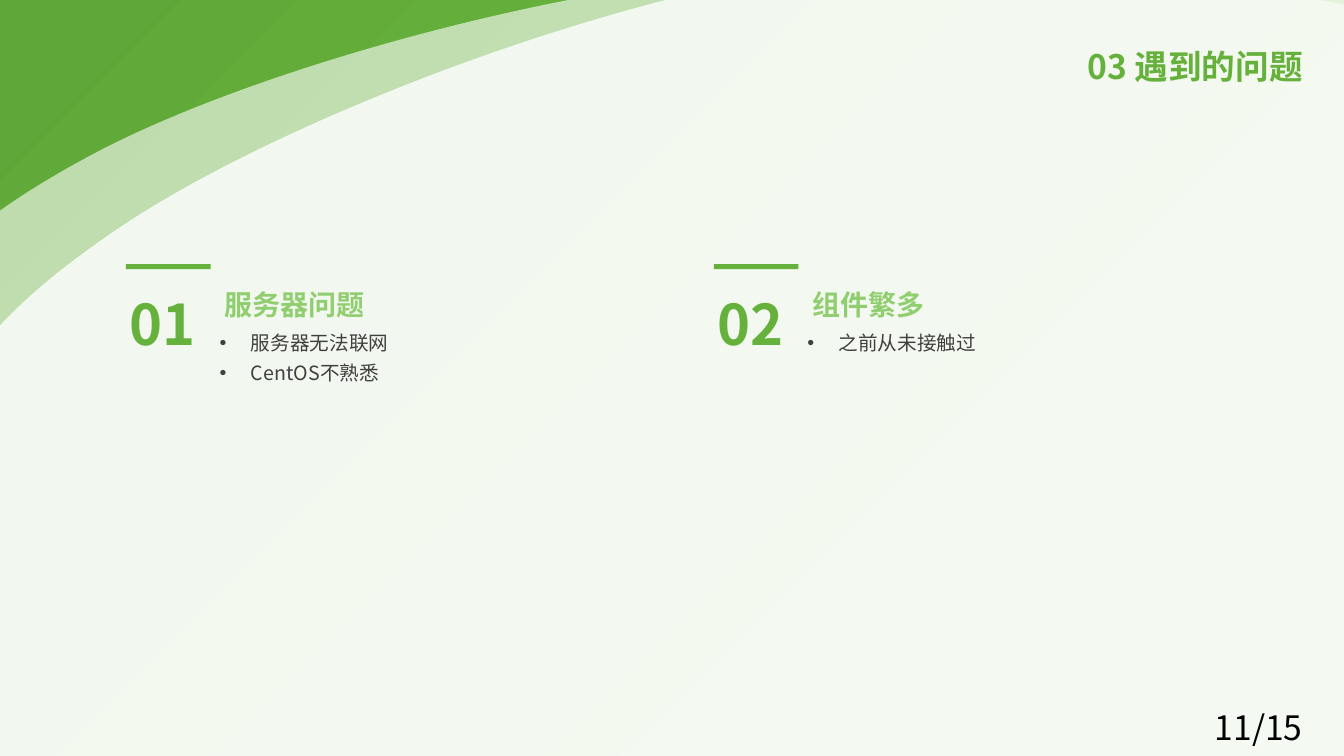
from dataclasses import dataclass

from lxml import etree
from pptx import Presentation
from pptx.dml.color import RGBColor
from pptx.enum.shapes import MSO_SHAPE
from pptx.enum.text import MSO_ANCHOR, MSO_AUTO_SIZE, PP_ALIGN
from pptx.oxml.ns import qn
from pptx.util import Inches, Pt

RECT = MSO_SHAPE.RECTANGLE
MIDDLE, TOP = MSO_ANCHOR.MIDDLE, MSO_ANCHOR.TOP
NO_FIT, GROW = MSO_AUTO_SIZE.NONE, MSO_AUTO_SIZE.SHAPE_TO_FIT_TEXT
RIGHT = PP_ALIGN.RIGHT


@dataclass(frozen=True)
class Theme:
    font: str = "Noto Sans CJK SC"
    green: str = "66B13C"
    light_green: str = "91CE6F"
    body: str = "404040"
    black: str = "000000"
    white: str = "FFFFFF"
    gradient: tuple = ((0, "7DC555"), (23, "7DC555"), (69, "66B13C"), (97, "5FA638"))
    title_size: int = 24
    number_size: int = 40
    heading_size: int = 20
    body_size: int = 14


THEME = Theme()
SLIDE_W, SLIDE_H = 13.33, 7.5

# Bezier outline of a wave, in inches from the top left of its box.
WAVE_W, WAVE_H = 20.44, 9.93
WAVE_START = (0.58, 4.23)
WAVE_CURVES = (
    ((0.91, 3.31), (1.32, 2.68), (2.89, 1.85)),
    ((4.45, 1.03), (7.57, 0.14), (10.06, 0.02)),
    ((12.56, -0.1), (16.29, 0.33), (17.85, 1.16)),
    ((19.42, 1.98), (21.2, 4.5), (20.11, 5.8)),
    ((19.01, 7.11), (13.26, 9.65), (10.06, 9.91)),
    ((6.86, 10.17), (2.45, 8.19), (0.89, 7.36)),
    ((-0.68, 6.54), (0.25, 5.15), WAVE_START),
)
# left, top, rotation, opacity
WAVES = ((-1.93, -0.34, 0, 60), (-1.38, -0.39, 354.1, 80))

PROBLEMS = (
    (1.25, "01", "服务器问题", 1.6, ("服务器无法联网", "CentOS不熟悉")),
    (7.08, "02", "组件繁多", 1.32, ("之前从未接触过",)),
)


def fill_solid(sp, color):
    sp.fill.solid()
    sp.fill.fore_color.rgb = RGBColor.from_string(color)
    sp.line.fill.background()
    sp.shadow.inherit = False


def add_bar(slide, x, y, w, h, color):
    sp = slide.shapes.add_shape(RECT, Inches(x), Inches(y), Inches(w), Inches(h))
    fill_solid(sp, color)
    return sp


def add_run(p, text, size, color, bold=False):
    r = p.add_run()
    r.text = text
    r.font.size = Pt(size)
    r.font.bold = bold
    r.font.color.rgb = RGBColor.from_string(color)
    r.font.name = THEME.font
    latin = r.font._element.find(qn("a:latin"))
    latin.addnext(etree.Element(qn("a:ea"), typeface=THEME.font))


def add_bullet(p):
    pPr = p._p.get_or_add_pPr()
    indent = Inches(0.31)
    pPr.set("marL", str(indent))
    pPr.set("indent", str(-indent))
    etree.SubElement(pPr, qn("a:buFont"), typeface="Arial")
    etree.SubElement(pPr, qn("a:buChar"), char="•")


def add_text(slide, box, lines, size, color, bold=False, wrap=False, bullets=False):
    sp = slide.shapes.add_textbox(*map(Inches, box))
    tf = sp.text_frame
    tf.word_wrap = wrap
    tf.auto_size = GROW
    tf.vertical_anchor = TOP
    for i, line in enumerate(lines):
        p = tf.add_paragraph() if i else tf.paragraphs[0]
        if bullets:
            add_bullet(p)
        p.line_spacing = 1.3
        add_run(p, line, size, color, bold)


def apply_radial_gradient(sp):
    """Spread the theme gradient out from the bottom right corner."""
    grad = etree.Element(qn("a:gradFill"), rotWithShape="1")
    stops = etree.SubElement(grad, qn("a:gsLst"))
    for pos, color in THEME.gradient:
        gs = etree.SubElement(stops, qn("a:gs"), pos=str(pos * 1000))
        etree.SubElement(gs, qn("a:srgbClr"), val=color)
    radial = etree.SubElement(grad, qn("a:path"), path="circle")
    etree.SubElement(radial, qn("a:fillToRect"), l="100000", t="100000")
    solid = sp.element.spPr.find(qn("a:solidFill"))
    solid.getparent().replace(solid, grad)


def add_point(parent, point):
    x, y = map(Inches, point)
    etree.SubElement(parent, qn("a:pt"), x=str(x), y=str(y))


def curve_outline(sp):
    """Turn the straight segments of a wave into Bezier curves."""
    outline = next(sp.element.iter(qn("a:path")))
    outline.set("w", str(Inches(WAVE_W)))
    outline.set("h", str(Inches(WAVE_H)))
    for child in list(outline):
        outline.remove(child)
    add_point(etree.SubElement(outline, qn("a:moveTo")), WAVE_START)
    for curve in WAVE_CURVES:
        bezier = etree.SubElement(outline, qn("a:cubicBezTo"))
        for point in curve:
            add_point(bezier, point)
    etree.SubElement(outline, qn("a:close"))


def add_wave(slide, x, y, rotation, opacity):
    builder = slide.shapes.build_freeform(*map(Inches, WAVE_START))
    builder.add_line_segments([tuple(map(Inches, c[-1])) for c in WAVE_CURVES])
    sp = builder.convert_to_shape()
    curve_outline(sp)
    sp.left, sp.top, sp.width, sp.height = map(Inches, (x, y, WAVE_W, WAVE_H))
    sp.rotation = rotation
    fill_solid(sp, THEME.white)
    clr = sp.element.spPr.find(qn("a:solidFill"))[0]
    etree.SubElement(clr, qn("a:alpha"), val=str(opacity * 1000))


def add_backdrop(slide, x, y, w, h):
    apply_radial_gradient(add_bar(slide, x, y, w, h, THEME.green))
    for dx, dy, rotation, opacity in WAVES:
        add_wave(slide, x + dx, y + dy, rotation, opacity)


def place_title(slide, box, text):
    sp = slide.shapes.title
    slide.shapes.element.append(sp.element)  # bring in front of the backdrop
    sp.left, sp.top, sp.width, sp.height = map(Inches, box)
    tf = sp.text_frame
    tf.word_wrap = True
    tf.auto_size = NO_FIT
    tf.vertical_anchor = MIDDLE
    p = tf.paragraphs[0]
    p.alignment = RIGHT
    p.line_spacing = 0.9
    add_run(p, text, THEME.title_size, THEME.green, bold=True)


def add_problem(slide, x, y, number, heading, heading_w, points):
    add_text(slide, (x + 0.88, y + 0.08, heading_w, 0.5), [heading],
             THEME.heading_size, THEME.light_green, bold=True)
    add_bar(slide, x, y, 0.84, 0.05, THEME.green)
    add_text(slide, (x + 0.83, y + 0.54, 2.75, 0.68), points,
             THEME.body_size, THEME.body, wrap=True, bullets=True)
    add_text(slide, (x - 0.06, y, 0.89, 0.98), [number],
             THEME.number_size, THEME.green, bold=True)


def build_problem_slide(prs):
    slide = prs.slides.add_slide(prs.slide_layouts[5])
    add_backdrop(slide, 0, 0, SLIDE_W, SLIDE_H)
    place_title(slide, (7.22, 0.29, 5.8, 0.79), "03 遇到的问题")
    for x, *content in PROBLEMS:
        add_problem(slide, x, 2.62, *content)
    add_text(slide, (11.95, 6.84, 1.22, 0.57), ["11/15"],
             THEME.title_size, THEME.black, wrap=True)


def main():
    prs = Presentation()
    prs.slide_width, prs.slide_height = Inches(SLIDE_W), Inches(SLIDE_H)
    build_problem_slide(prs)
    prs.save("out.pptx")


if __name__ == "__main__":
    main()
